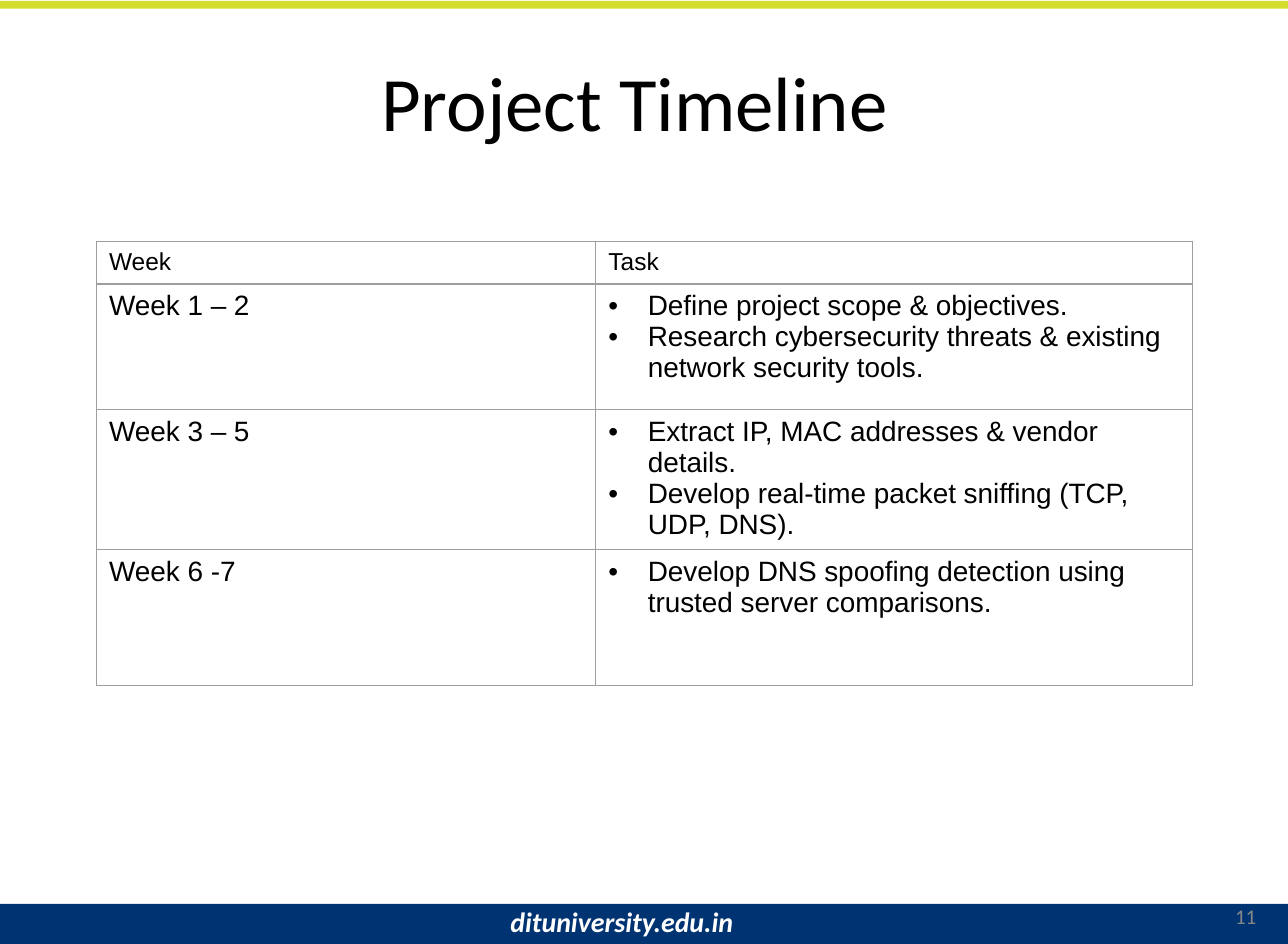
from pptx import Presentation
from pptx.dml.color import RGBColor
from pptx.enum.shapes import MSO_SHAPE
from pptx.enum.text import MSO_ANCHOR, PP_ALIGN
from pptx.oxml import parse_xml
from pptx.oxml.ns import nsdecls
from pptx.util import Pt

SLIDE_WIDTH, SLIDE_HEIGHT = 737, 540
NAVY, LIME, BLACK, WHITE = "003371", "D5DE2F", "000000", "FFFFFF"
PAGE_GRAY, BORDER_GRAY = "888888", "9E9E9E"
COLUMN_WIDTHS = [285.8, 341.2]
ROW_HEIGHTS = [24.3, 72, 80, 77.8]
BULLET_INDENT = 22.5
HEADINGS = ["Week", "Task"]
SCHEDULE = [
    ("Week 1 – 2", ["Define project scope & objectives.",
                    "Research cybersecurity threats & existing network security tools."]),
    ("Week 3 – 5", ["Extract IP, MAC addresses & vendor details.",
                    "Develop real-time packet sniffing (TCP, UDP, DNS)."]),
    ("Week 6 -7", ["Develop DNS spoofing detection using trusted server comparisons."]),
]


def color(hex_string):
    return RGBColor.from_string(hex_string)


def format_runs(paragraph, size, font_name, font_color, bold=False, italic=False):
    for run in paragraph.runs:
        run.font.size = Pt(size)
        run.font.name = font_name
        run.font.color.rgb = color(font_color)
        run.font.bold = bold
        run.font.italic = italic


def add_bar(slide, left, top, width, height, fill):
    shape = slide.shapes.add_shape(MSO_SHAPE.RECTANGLE, Pt(left), Pt(top), Pt(width), Pt(height))
    shape.shadow.inherit = False
    shape.fill.solid()
    shape.fill.fore_color.rgb = color(fill)
    shape.line.fill.background()


def add_label(slide, left, top, width, height, text):
    text_frame = slide.shapes.add_textbox(Pt(left), Pt(top), Pt(width), Pt(height)).text_frame
    text_frame.word_wrap = True
    text_frame.text = text
    return text_frame


def add_title(slide, left, top, width, height):
    title = slide.shapes.title
    title.left, title.top, title.width, title.height = Pt(left), Pt(top), Pt(width), Pt(height)
    title.text_frame.text = "Project Timeline "
    title.text_frame.vertical_anchor = MSO_ANCHOR.TOP
    paragraph = title.text_frame.paragraphs[0]
    paragraph.alignment = PP_ALIGN.CENTER
    paragraph.line_spacing = 0.9
    format_runs(paragraph, 44, "Calibri", BLACK)


def add_footer(slide, left, top, width, height):
    add_bar(slide, left, top, width, height, NAVY)
    # Web address
    address = add_label(slide, left + 285, top - 2.8, 192, 26.6, "dituniversity.edu.in")
    format_runs(address.paragraphs[0], 16, "Calibri", WHITE, bold=True, italic=True)
    # Page number
    page = add_label(slide, left + 560, top, 166, 14.4, "11")
    page.vertical_anchor = MSO_ANCHOR.MIDDLE
    page.paragraphs[0].alignment = PP_ALIGN.RIGHT
    format_runs(page.paragraphs[0], 12, "Calibri", PAGE_GRAY)


def add_bullet(paragraph):
    properties = paragraph._p.get_or_add_pPr()
    properties.set("marL", str(Pt(BULLET_INDENT)))
    properties.set("indent", str(-Pt(BULLET_INDENT)))
    for element in (f'<a:buClr {nsdecls("a")}><a:srgbClr val="{BLACK}"/></a:buClr>',
                    f'<a:buFont {nsdecls("a")} typeface="Arial"/>',
                    f'<a:buChar {nsdecls("a")} char="•"/>'):
        properties.append(parse_xml(element))


def add_borders(cell):
    properties = cell._tc.get_or_add_tcPr()
    for index, side in enumerate(("lnL", "lnR", "lnT", "lnB")):
        properties.insert(index, parse_xml(
            f'<a:{side} {nsdecls("a")} w="{Pt(0.75)}"><a:solidFill>'
            f'<a:srgbClr val="{BORDER_GRAY}"/></a:solidFill></a:{side}>'))


def fill_cell(cell, lines, size, bulleted=False):
    cell.text_frame.text = "\n".join(lines)
    for paragraph in cell.text_frame.paragraphs:
        if bulleted:
            add_bullet(paragraph)
        format_runs(paragraph, size, "Arial", BLACK)
    cell.fill.background()
    add_borders(cell)


def add_schedule(slide, left, top):
    table = slide.shapes.add_table(
        len(ROW_HEIGHTS), len(COLUMN_WIDTHS), Pt(left), Pt(top),
        Pt(sum(COLUMN_WIDTHS)), Pt(sum(ROW_HEIGHTS))).table
    table.first_row = table.horz_banding = False
    for column, width in zip(table.columns, COLUMN_WIDTHS):
        column.width = Pt(width)
    for row, height in zip(table.rows, ROW_HEIGHTS):
        row.height = Pt(height)
    for index, heading in enumerate(HEADINGS):
        fill_cell(table.cell(0, index), [heading], 14)
    for index, (week, tasks) in enumerate(SCHEDULE, start=1):
        fill_cell(table.cell(index, 0), [week], 16)
        fill_cell(table.cell(index, 1), tasks, 16, bulleted=True)


def main():
    presentation = Presentation()
    presentation.slide_width = Pt(SLIDE_WIDTH)
    presentation.slide_height = Pt(SLIDE_HEIGHT)
    slide = presentation.slides.add_slide(presentation.slide_layouts[5])
    add_bar(slide, 0, 0.5, SLIDE_WIDTH, 4.4, LIME)
    add_title(slide, 50.4, 33.8, 635.8, 104.4)
    add_schedule(slide, 55.2, 138.2)
    add_footer(slide, 0, 517, SLIDE_WIDTH, 23)
    presentation.save("out.pptx")


if __name__ == "__main__":
    main()
